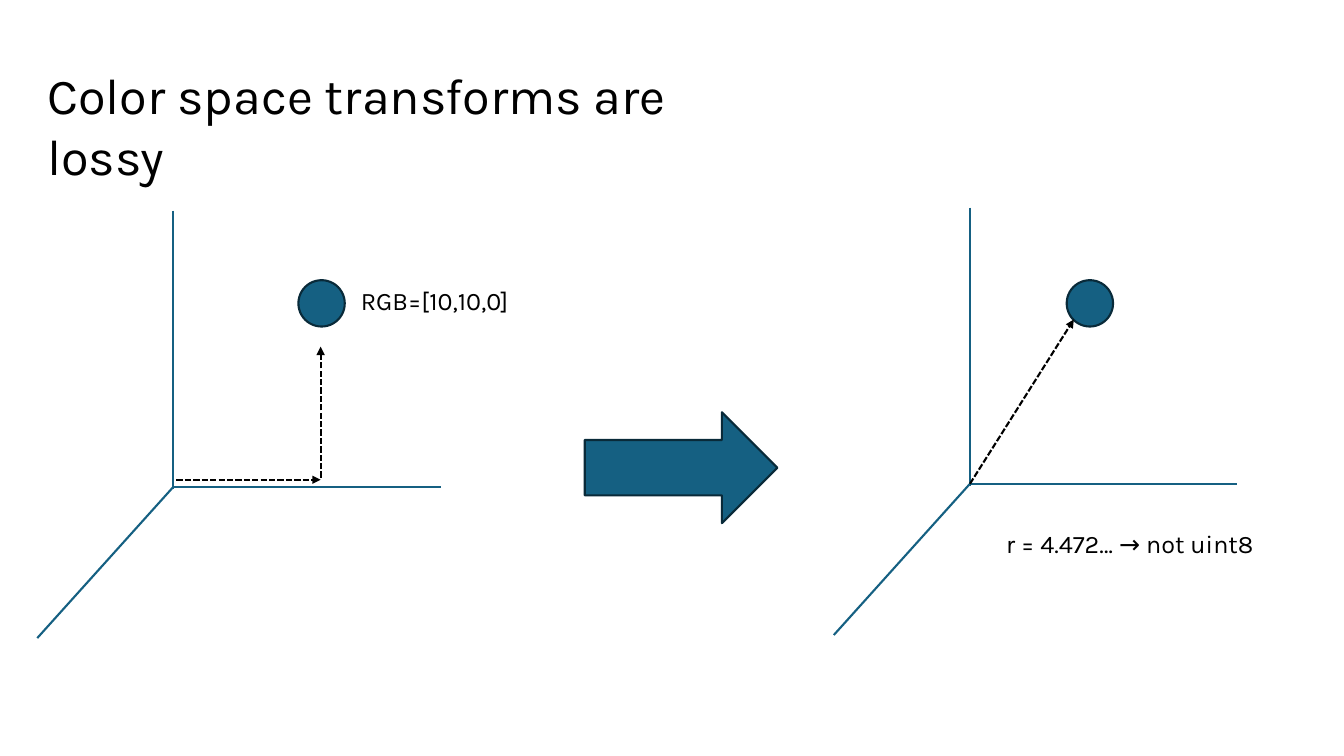
from dataclasses import dataclass

from lxml.etree import SubElement
from pptx import Presentation
from pptx.dml.color import RGBColor
from pptx.enum.dml import MSO_LINE
from pptx.enum.shapes import MSO_CONNECTOR, MSO_SHAPE
from pptx.enum.text import MSO_AUTO_SIZE
from pptx.oxml.ns import qn
from pptx.slide import Slide
from pptx.util import Emu, Pt

EMU_PER_PX = 9144
FONT = "Karla"
BLACK = "000000"
BLUE = "156082"
DARK_BLUE = "092A39"
LINE_WIDTH = Pt(1.5)


@dataclass(frozen=True)
class Label:
    text: str
    left: int
    top: int
    width: int
    height: int
    size: int = 18


@dataclass(frozen=True)
class Line:
    start_x: int
    start_y: int
    end_x: int
    end_y: int


@dataclass(frozen=True)
class FilledShape:
    kind: MSO_SHAPE
    left: int
    top: int
    width: int
    height: int


@dataclass(frozen=True)
class Origin:
    x: int
    y: int


LABELS = [
    Label("Color space transforms are lossy", 37, 59, 735, 71, 36),
    Label("RGB=[10,10,0]", 348, 278, 178, 40),
    Label("r = 4.472… → not uint8", 988, 519, 266, 40),
]
ORIGINS = [Origin(172, 483), Origin(962, 480)]
VECTORS = [
    Line(962, 480, 1065, 317),
    Line(175, 476, 318, 476),
    Line(318, 474, 318, 344),
]
FILLED_SHAPES = [
    FilledShape(MSO_SHAPE.OVAL, 296, 278, 46, 46),
    FilledShape(MSO_SHAPE.OVAL, 1058, 278, 46, 46),
    FilledShape(MSO_SHAPE.RIGHT_ARROW, 580, 409, 191, 110),
]


def px(length: int) -> Emu:
    return Emu(length * EMU_PER_PX)


def color(hex_string: str) -> RGBColor:
    return RGBColor.from_string(hex_string)


def axes(origin: Origin) -> list[Line]:
    x, y = origin.x, origin.y
    return [
        Line(x, y - 274, x, y + 2),
        Line(x, y, x + 265, y),
        Line(x, y, x - 135, y + 150),
    ]


def draw_label(slide: Slide, label: Label) -> None:
    box = slide.shapes.add_textbox(
        px(label.left), px(label.top), px(label.width), px(label.height)
    )
    text_frame = box.text_frame
    text_frame.word_wrap = True
    text_frame.auto_size = MSO_AUTO_SIZE.SHAPE_TO_FIT_TEXT
    text_frame.text = label.text
    font = text_frame.paragraphs[0].runs[0].font
    font.name = FONT
    font.size = Pt(label.size)
    font.color.rgb = color(BLACK)


def draw_line(slide: Slide, line: Line, hex_string: str, is_vector: bool) -> None:
    connector = slide.shapes.add_connector(
        MSO_CONNECTOR.STRAIGHT,
        px(line.start_x), px(line.start_y), px(line.end_x), px(line.end_y),
    )
    connector.line.color.rgb = color(hex_string)
    connector.line.width = LINE_WIDTH
    if is_vector:
        connector.line.dash_style = MSO_LINE.SQUARE_DOT
        SubElement(connector.line._get_or_add_ln(), qn("a:tailEnd"), type="triangle")
    SubElement(connector._element.spPr, qn("a:effectLst"))


def draw_filled_shape(slide: Slide, item: FilledShape) -> None:
    shape = slide.shapes.add_shape(
        item.kind, px(item.left), px(item.top), px(item.width), px(item.height)
    )
    shape.shadow.inherit = False
    shape.fill.solid()
    shape.fill.fore_color.rgb = color(BLUE)
    shape.line.color.rgb = color(DARK_BLUE)
    shape.line.width = LINE_WIDTH


def main() -> None:
    presentation = Presentation()
    presentation.slide_width = px(1333)
    presentation.slide_height = px(750)
    slide = presentation.slides.add_slide(presentation.slide_layouts[6])
    for label in LABELS:
        draw_label(slide, label)
    for origin in ORIGINS:
        for axis in axes(origin):
            draw_line(slide, axis, BLUE, is_vector=False)
    for item in FILLED_SHAPES:
        draw_filled_shape(slide, item)
    for vector in VECTORS:
        draw_line(slide, vector, BLACK, is_vector=True)
    presentation.save("out.pptx")


if __name__ == "__main__":
    main()
